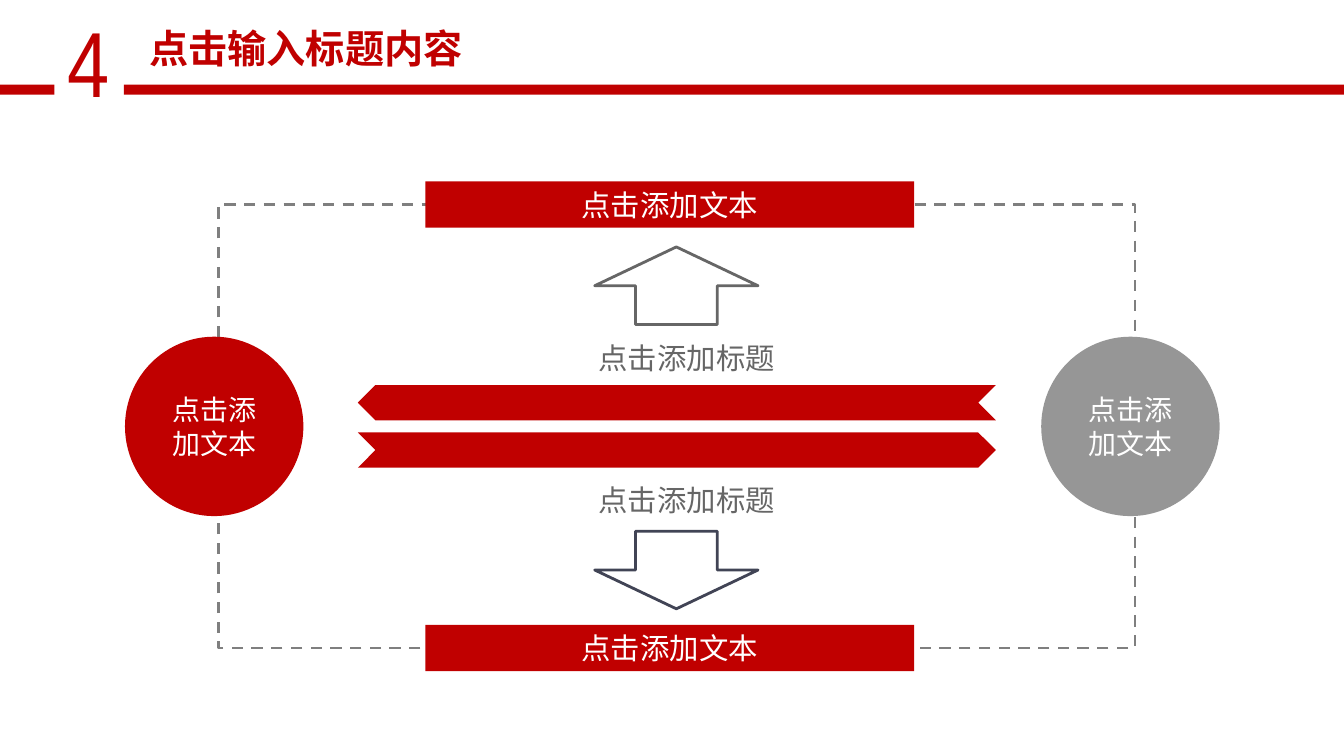
"""Build a slide of two circles linked by a dashed frame, banners and opposed arrows."""
from lxml.etree import SubElement
from pptx import Presentation
from pptx.dml.color import RGBColor
from pptx.enum.dml import MSO_LINE
from pptx.enum.shapes import MSO_SHAPE
from pptx.enum.text import MSO_ANCHOR, MSO_AUTO_SIZE, PP_ALIGN
from pptx.oxml.ns import qn
from pptx.util import Pt

COLOURS = {
    "red": "C00000", "silver": "969696", "dash": "7F7F7F",
    "grey": "666666", "slate": "414455", "white": "FFFFFF",
}
CJK, NARROW = "Noto Sans CJK SC", "Arial Narrow"
BODY_TEXT, LABEL_TEXT = "点击添加文本", "点击添加标题"

RULES = [(88.56, 871.92), (-2.16, 41.04)]
FRAME = (156.24, 146.16, 654.48, 316.8)
CIRCLES = [(89.28, "red"), (743.76, "silver")]
LABEL_TOPS = [239.76, 340.56]
BLOCK_ARROWS = [
    (MSO_SHAPE.UP_ARROW, 176.4, "grey"),
    (MSO_SHAPE.DOWN_ARROW, 379.44, "slate"),
]
BANNER_TOPS = [446.4, 129.6]
RIBBON_LEFT, RIBBON_RIGHT, RIBBON_HEIGHT, RIBBON_NOTCH = 255.6, 711.36, 25.2, 12.6
RIBBONS = [(308.88, RIBBON_LEFT, RIBBON_RIGHT), (275.04, RIBBON_RIGHT, RIBBON_LEFT)]
TEXT_BOXES = [
    ("4", (41.04, 0, 24.48, 87.12), True, PP_ALIGN.LEFT,
     {"size": Pt(66), "name": NARROW}, "red"),
    *[(LABEL_TEXT, (420.48, top, 143.28, 33.12), False, PP_ALIGN.LEFT,
       {"size": Pt(21), "name": CJK}, "grey") for top in LABEL_TOPS],
    ("点击输入标题内容", (89.28, 13.68, 258.48, 41.04), True, PP_ALIGN.CENTER,
     {"size": Pt(28), "name": CJK, "bold": True}, "red"),
]


def rgb(colour):
    return RGBColor.from_string(COLOURS[colour])


def paint(shape, fill=None, line=None):
    shape.shadow.inherit = False
    if fill:
        shape.fill.solid()
        shape.fill.fore_color.rgb = rgb(fill)
    else:
        shape.fill.background()
    if line:
        shape.line.color.rgb = rgb(line)
        shape.line.width = Pt(2)
    else:
        shape.line.fill.background()
    return shape


def add_shape(slide, kind, box, **colours):
    return paint(slide.shapes.add_shape(kind, *map(Pt, box)), **colours)


def write(shape, text, alignment, font_values, colour):
    paragraph = shape.text_frame.paragraphs[0]
    paragraph.alignment = alignment
    run = paragraph.add_run()
    run.text = text
    for name, value in font_values.items():
        setattr(run.font, name, value)
    run.font.color.rgb = rgb(colour)
    SubElement(run.font._element, qn("a:ea"), typeface=font_values["name"])


def write_inside(shape, size):
    shape.text_frame.vertical_anchor = MSO_ANCHOR.MIDDLE
    shape.text_frame.word_wrap = True
    write(shape, BODY_TEXT, PP_ALIGN.CENTER, {"size": Pt(size), "name": CJK}, "white")


def add_ribbon(slide, top, tail, tip):
    notch = RIBBON_NOTCH if tip > tail else -RIBBON_NOTCH
    middle, bottom = top + RIBBON_HEIGHT / 2, top + RIBBON_HEIGHT
    outline = [(tail, top), (tip - notch, top), (tip, middle),
               (tip - notch, bottom), (tail, bottom), (tail + notch, middle)]
    points = [(Pt(x), Pt(y)) for x, y in outline]
    builder = slide.shapes.build_freeform(*points[0], scale=1.0)
    builder.add_line_segments(points[1:], close=True)
    paint(builder.convert_to_shape(), fill="red")


def add_text_box(slide, text, box, wrap, alignment, font_values, colour):
    shape = slide.shapes.add_textbox(*map(Pt, box))
    shape.text_frame.word_wrap = wrap
    shape.text_frame.auto_size = MSO_AUTO_SIZE.SHAPE_TO_FIT_TEXT
    write(shape, text, alignment, font_values, colour)


def main():
    presentation = Presentation()
    presentation.slide_width, presentation.slide_height = Pt(960), Pt(540)
    slide = presentation.slides.add_slide(presentation.slide_layouts[6])

    for left, width in RULES:
        add_shape(slide, MSO_SHAPE.RECTANGLE, (left, 60.48, width, 7.2), fill="red")
    frame = add_shape(slide, MSO_SHAPE.RECTANGLE, FRAME, line="dash")
    frame.line.dash_style = MSO_LINE.DASH

    for left, fill in CIRCLES:
        circle = add_shape(slide, MSO_SHAPE.OVAL, (left, 240.48, 127.44, 128.16), fill=fill)
        write_inside(circle, 20)
    for kind, top, line in BLOCK_ARROWS:
        add_shape(slide, kind, (424.8, top, 116.64, 55.44), line=line)
    for top in BANNER_TOPS:
        banner = add_shape(slide, MSO_SHAPE.RECTANGLE, (303.84, top, 349.2, 33.12), fill="red")
        write_inside(banner, 21)
    for ribbon in RIBBONS:
        add_ribbon(slide, *ribbon)
    for text_box in TEXT_BOXES:
        add_text_box(slide, *text_box)

    presentation.save("out.pptx")


if __name__ == "__main__":
    main()
